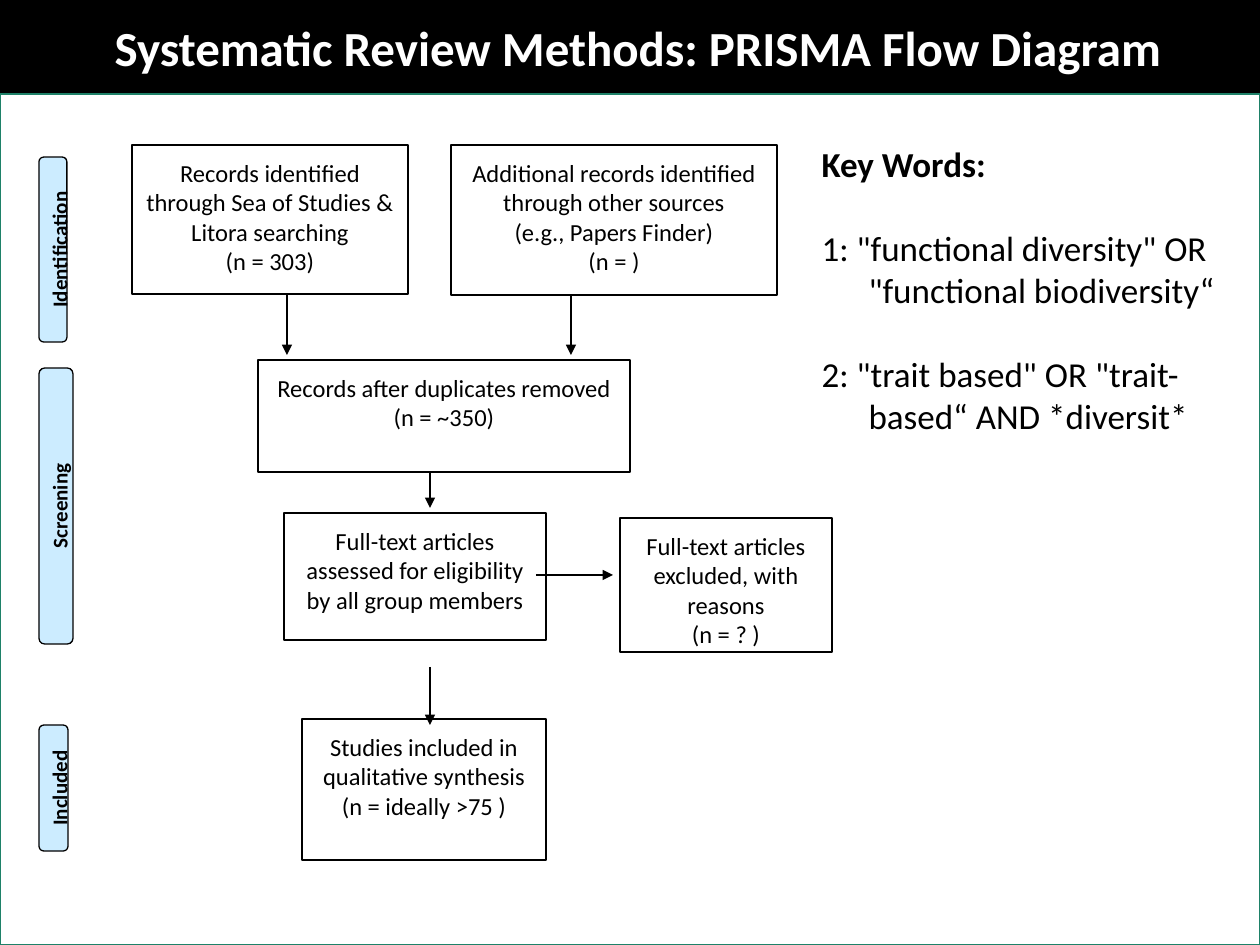
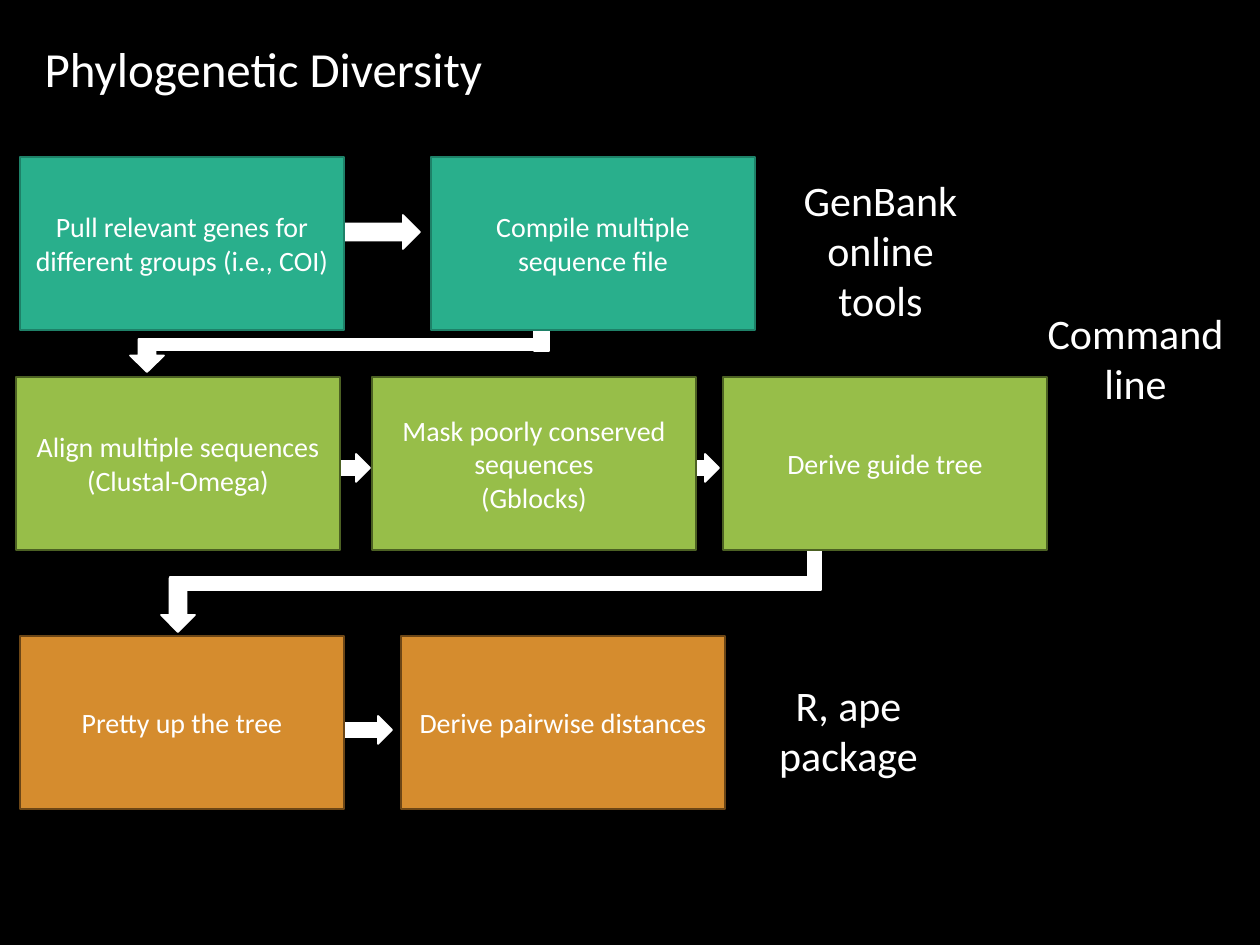
from lxml.etree import SubElement
from pptx import Presentation
from pptx.dml.color import RGBColor
from pptx.enum.shapes import MSO_CONNECTOR, MSO_SHAPE
from pptx.enum.text import MSO_ANCHOR, MSO_AUTO_SIZE, PP_ALIGN
from pptx.oxml.ns import qn
from pptx.util import Pt

PX_PER_INCH = 126
FONT = "Calibri"
BLACK, WHITE, LABEL_BLUE = "000000", "FFFFFF", "CCECFF"
TEAL, TEAL_EDGE = "29AF8C", "1E8168"
GREEN, GREEN_EDGE = "97BE49", "4C6123"
ORANGE, ORANGE_EDGE = "D58C2E", "6C4616"

PRISMA_TITLE = ("Systematic Review Methods: PRISMA Flow Diagram", (102, 11, 1158, 72), True)
PANEL = (0, 94, 1260, 851)
STAGE_LEFT = 39
STAGES = [
    ("Screening", 368, 34, 276),
    ("Included", 725, 29, 126),
    ("Identification", 157, 28, 185),
]
RECORD_BOXES = [
    ("Records identified through Sea of Studies & Litora searching\v(n = 303)", (132, 145, 276, 149)),
    ("Additional records identified through other sources\v(e.g., Papers Finder)\v(n = )", (451, 145, 326, 150)),
    ("Records after duplicates removed\v(n = ~350)", (258, 360, 372, 112)),
    ("Full-text articles assessed for eligibility by all group members", (284, 513, 262, 127)),
    ("Full-text articles excluded, with reasons\v(n = ? )", (620, 518, 212, 134)),
    ("Studies included in qualitative synthesis\v(n = ideally >75 )", (302, 719, 244, 141)),
]
ARROWS_BEHIND = [(430, 431, 430, 508), (287, 278, 287, 355), (571, 278, 571, 355)]
ARROWS_IN_FRONT = [(430, 667, 430, 725), (536, 575, 613, 575)]
KEY_WORDS_AREA = (809, 136, 451, 310)
KEY_WORDS = [
    "Key Words:",
    "1: \"functional diversity\" OR \"functional biodiversity“",
    "2: \"trait based\" OR \"trait-based“ AND *diversit*",
]
KEY_WORDS_INDENT = 47

PHYLO_TITLE = ("Phylogenetic Diversity", (32, 32, 490, 72), False)
STEP_SIZE = (324, 173)
STEP_ROWS = [
    (157, TEAL, TEAL_EDGE, [
        (20, "Pull relevant genes for different groups (i.e., COI)"),
        (431, "Compile multiple sequence file"),
    ]),
    (377, GREEN, GREEN_EDGE, [
        (16, "Align multiple sequences\n(Clustal-Omega)"),
        (372, "Mask poorly conserved sequences\n(Gblocks)"),
        (723, "Derive guide tree"),
    ]),
    (636, ORANGE, ORANGE_EDGE, [
        (20, "Pretty up the tree"),
        (401, "Derive pairwise distances"),
    ]),
]
FLOW_PARTS = [
    (MSO_SHAPE.RECTANGLE, [(808, 542, 13, 48), (534, 301, 15, 50), (149, 339, 399, 11), (170, 577, 648, 13)]),
    (MSO_SHAPE.DOWN_ARROW, [(130, 339, 34, 33), (161, 578, 34, 54)]),
    (MSO_SHAPE.RIGHT_ARROW, [(134, 716, 258, 28), (461, 454, 258, 28), (112, 454, 258, 28), (118, 215, 302, 34)]),
]
TOOL_NOTES = [
    ("GenBank online tools", (788, 168, 185, 165)),
    ("Command line", (1032, 301, 207, 115)),
    ("R, ape package", (756, 673, 185, 115)),
]


def px(*lengths):
    return [round(length * 914400 / PX_PER_INCH) for length in lengths]


def color(hex_text):
    return RGBColor.from_string(hex_text)


def style(para, size, hex_text, bold=False, align=PP_ALIGN.LEFT):
    para.alignment = align
    para.font.name = FONT
    para.font.size = Pt(size)
    para.font.bold = bold
    para.font.color.rgb = color(hex_text)


def write(shape, text, size, hex_text, bold=False, align=PP_ALIGN.CENTER, anchor=MSO_ANCHOR.TOP, inset=None):
    frame = shape.text_frame
    frame.text = text
    frame.word_wrap = True
    frame.auto_size = MSO_AUTO_SIZE.NONE
    frame.vertical_anchor = anchor
    if inset:
        margin = px(inset)[0]
        frame.margin_left = frame.margin_right = margin
        frame.margin_top = frame.margin_bottom = margin
    for para in frame.paragraphs:
        style(para, size, hex_text, bold, align)


def add_block(page, kind, area, fill, edge, edge_width=1):
    block = page.shapes.add_shape(kind, *px(*area))
    block.shadow.inherit = False
    block.fill.solid()
    block.fill.fore_color.rgb = color(fill)
    block.line.color.rgb = color(edge)
    block.line.width = Pt(edge_width)
    return block


def add_arrow(page, ends):
    arrow = page.shapes.add_connector(MSO_CONNECTOR.STRAIGHT, *px(*ends))
    arrow.line.color.rgb = color(BLACK)
    arrow.line.width = Pt(0.75)
    SubElement(arrow.line._get_or_add_ln(), qn("a:tailEnd"), type="triangle")
    SubElement(arrow.element.spPr, qn("a:effectLst"))


def place(shape, area):
    shape.left, shape.top, shape.width, shape.height = px(*area)


def add_page(deck, layout, title):
    text, area, bold = title
    page = deck.slides.add_slide(deck.slide_layouts.get_by_name(layout))
    place(page.shapes.title, area)
    write(page.shapes.title, text, 28, WHITE, bold, PP_ALIGN.LEFT, MSO_ANCHOR.MIDDLE)
    return page


def add_stage(page, text, top, thickness, length):
    area = (STAGE_LEFT + (thickness - length) / 2, top + (length - thickness) / 2, length, thickness)
    label = add_block(page, MSO_SHAPE.ROUNDED_RECTANGLE, area, LABEL_BLUE, BLACK, 0.75)
    label.rotation = 270
    write(label, text, 12, BLACK, bold=True, inset=6)


def fill_key_words(body):
    place(body, KEY_WORDS_AREA)
    body.text_frame.text = "\n".join(KEY_WORDS)
    body.text_frame.auto_size = MSO_AUTO_SIZE.NONE
    indent = px(KEY_WORDS_INDENT)[0]
    for index, para in enumerate(body.text_frame.paragraphs):
        properties = para._p.get_or_add_pPr()
        properties.set("marL", str(indent if index else 0))
        properties.set("indent", str(-indent if index else 0))
        SubElement(properties, qn("a:buNone"))
        para.space_before = Pt(24 if index else 0)
        style(para, 20, BLACK, bold=index == 0)


def build_prisma(deck):
    page = add_page(deck, "Title and Content", PRISMA_TITLE)
    panel = add_block(page, MSO_SHAPE.RECTANGLE, PANEL, WHITE, TEAL_EDGE)
    page.shapes.title.element.addprevious(panel.element)
    fill_key_words(page.placeholders[1])
    for stage in STAGES:
        add_stage(page, *stage)
    for ends in ARROWS_BEHIND:
        add_arrow(page, ends)
    for text, area in RECORD_BOXES:
        box = add_block(page, MSO_SHAPE.RECTANGLE, area, WHITE, BLACK, 0.75)
        write(box, text, 14, BLACK, inset=13)
    for ends in ARROWS_IN_FRONT:
        add_arrow(page, ends)


def build_phylogeny(deck):
    page = add_page(deck, "Title Only", PHYLO_TITLE)
    for kind, areas in FLOW_PARTS:
        for area in areas:
            add_block(page, kind, area, WHITE, WHITE)
    for top, fill, edge, steps in STEP_ROWS:
        for left, text in steps:
            box = add_block(page, MSO_SHAPE.RECTANGLE, (left, top, *STEP_SIZE), fill, edge)
            write(box, text, 16, WHITE, anchor=MSO_ANCHOR.MIDDLE)
    for text, area in TOOL_NOTES:
        write(page.shapes.add_textbox(*px(*area)), text, 24, WHITE)


def main():
    deck = Presentation()
    deck.slide_width, deck.slide_height = px(1260, 945)
    backdrop = deck.slide_master.background.fill
    backdrop.solid()
    backdrop.fore_color.rgb = color(BLACK)
    build_prisma(deck)
    build_phylogeny(deck)
    deck.save("out.pptx")


if __name__ == "__main__":
    main()
